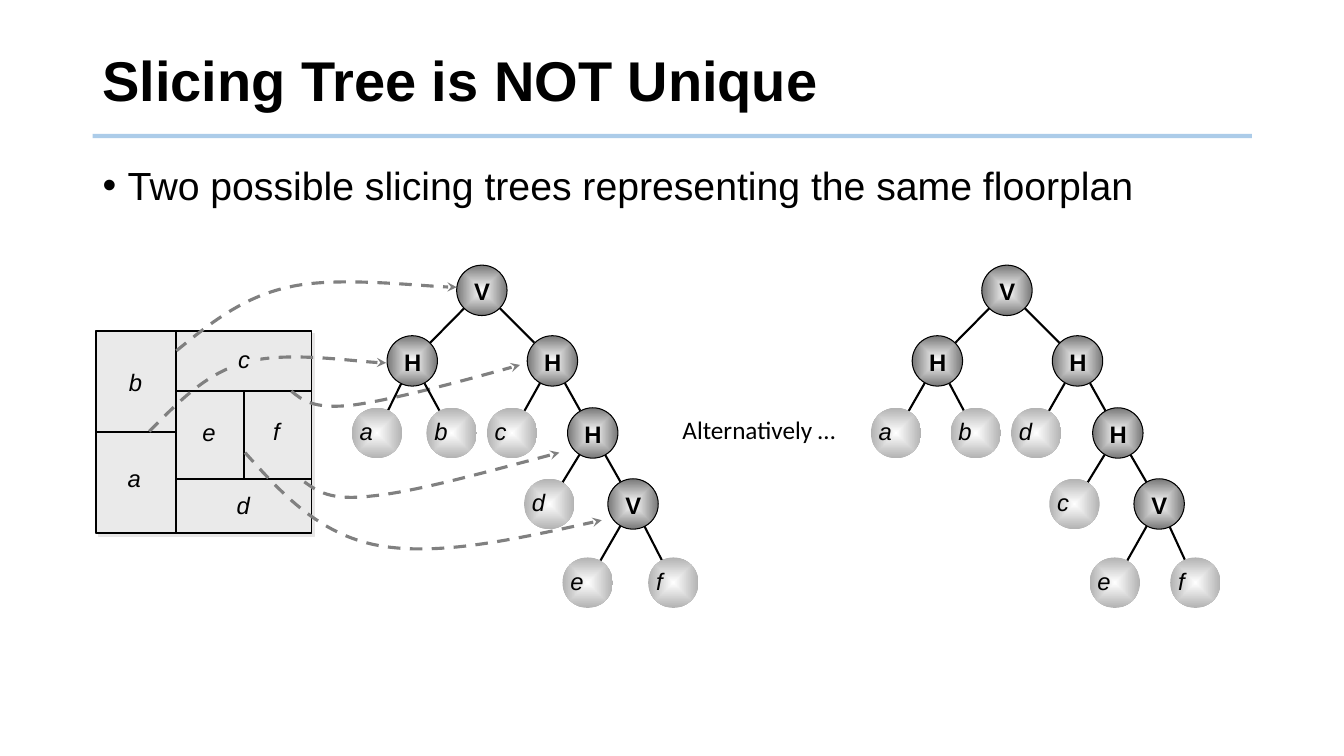
from math import hypot

from lxml.etree import SubElement
from pptx import Presentation
from pptx.dml.color import RGBColor
from pptx.enum.dml import MSO_LINE
from pptx.enum.shapes import MSO_CONNECTOR, MSO_SHAPE
from pptx.enum.text import MSO_ANCHOR, PP_ALIGN
from pptx.oxml.ns import qn
from pptx.util import Pt

BLACK, WALL_FILL = "000000", "EAEAEA"
NODE_SIZE = 36
LABEL_HEIGHT = 27.4

# Tree nodes: level, index of parent, whether the node is a cut (H or V)
LEVELS = [0, 50.4, 101.9, 152.6, 208.8]
NODES = [(0, None, True), (1, 0, True), (1, 0, True), (2, 1, False),
         (2, 1, False), (2, 2, False), (2, 2, True), (3, 6, False),
         (3, 6, True), (4, 8, False), (4, 8, False)]

# Room names, relative to the floorplan
ROOMS = [("b", 16.6, 23), ("d", 93.6, 110.9), ("a", 15.8, 91.4),
         ("e", 69.1, 58.3), ("c", 94.3, 6.5), ("f", 117.4, 57.6)]

# Arrows from each cut to its tree node: a start and two Bezier segments
CUT_ARROWS = [
    [(149, 108), (158.4, 114.5), (167, 121.7), (197.3, 118.1),
     (227.5, 115.2), (279.4, 100.8), (331.2, 87.1)],
    [(38.2, 72), (58.3, 51.8), (77.8, 31), (105.8, 23),
     (133.9, 14.4), (190.8, 23), (207.4, 23)],
    [(57.6, 14.4), (80.6, -4.3), (104.4, -23.8), (137.5, -31),
     (170.6, -38.9), (237.6, -31), (257.8, -31)],
    [(106.6, 87.1), (132.5, 115.9), (159.1, 145.4), (201.6, 153.4),
     (244.1, 161.3), (303.1, 148.3), (361.4, 135.4)],
    [(139.7, 43.2), (147.6, 49.7), (155.5, 56.2), (182.9, 53.3),
     (210.2, 49.7), (257, 37.4), (303.1, 24.5)],
]


def color(value):
    return RGBColor.from_string(value)


def add_line(page, x1, y1, x2, y2, width, line_color=BLACK):
    line = page.shapes.add_connector(MSO_CONNECTOR.STRAIGHT, Pt(x1), Pt(y1), Pt(x2), Pt(y2))
    line.line.color.rgb = color(line_color)
    line.line.width = Pt(width)
    SubElement(line.element.spPr, qn("a:effectLst"))
    return line


def add_block(page, kind, left, top, width, height, fill=None, line=None, weight=0.75):
    block = page.shapes.add_shape(kind, Pt(left), Pt(top), Pt(width), Pt(height))
    block.shadow.inherit = False
    if fill:
        block.fill.solid()
        block.fill.fore_color.rgb = color(fill)
    else:
        block.fill.background()
    if line:
        block.line.color.rgb = color(line)
        block.line.width = Pt(weight)
    else:
        block.line.fill.background()
    return block


def add_text(page, text, left, top, width, height, size, font="Arial", bold=False,
             italic=False, align=PP_ALIGN.LEFT, wrap=True, fill=None):
    box = page.shapes.add_textbox(Pt(left), Pt(top), Pt(width), Pt(height))
    if fill:
        box.fill.solid()
        box.fill.fore_color.rgb = color(fill)
    box.text_frame.word_wrap = wrap
    para = box.text_frame.paragraphs[0]
    para.alignment = align
    span = para.add_run()
    span.text = text
    span.font.name = font
    span.font.size = Pt(size)
    span.font.bold = bold
    span.font.italic = italic
    span.font.color.rgb = color(BLACK)
    return box


def add_heading(page, left, top, width, height):
    rule = add_line(page, left, top + 77, left + width, top + 77, 3, "5B9BD5")
    tint = next(rule.element.iter(qn("a:srgbClr")))
    SubElement(tint, qn("a:alpha"), val="50000")
    title = add_text(page, "Slicing Tree is NOT Unique", left, top, width, height, 40, bold=True)
    title.text_frame.vertical_anchor = MSO_ANCHOR.MIDDLE
    title.text_frame.paragraphs[0].line_spacing = 0.9


def add_body(page, left, top, width, height):
    body = add_text(page, "Two possible slicing trees representing the same floorplan",
                    left, top, width, height, 28)
    para = body.text_frame.paragraphs[0]
    para.line_spacing = 0.9
    properties = para._p.get_or_add_pPr()
    properties.set("marL", str(Pt(18)))
    properties.set("indent", str(-Pt(18)))
    SubElement(properties, qn("a:buFont"), typeface="Arial")
    SubElement(properties, qn("a:buChar"), char="•")


def add_floorplan(page, left, top, width, height):
    column = 57.6
    # Base with shadow
    base = add_block(page, MSO_SHAPE.RECTANGLE, left, top, width, height, WALL_FILL, "B2B2B2")
    effects = base.element.spPr.find(qn("a:effectLst"))
    shadow = SubElement(effects, qn("a:outerShdw"), dist=str(Pt(2.8)), dir="2700000",
                        algn="ctr", rotWithShape="0")
    SubElement(shadow, qn("a:srgbClr"), val="E7E6E6")
    # Walls
    add_block(page, MSO_SHAPE.RECTANGLE, left + column, top, width - column, height,
              line=BLACK, weight=1.25)
    side = add_block(page, MSO_SHAPE.RECTANGLE, left, top, column, height,
                     line=BLACK, weight=1.5)
    for x1, y1, x2, y2 in [(105.8, 43.2, 105.8, 106.2), (column, 43.2, width, 43.2),
                           (column, 106.2, width, 106.2)]:
        add_line(page, left + x1, top + y1, left + x2, top + y2, 1.25)
    middle = top + height / 2
    divider = add_line(page, left, middle, left + column, middle, 1.5)
    divider.begin_connect(side, 1)
    divider.end_connect(side, 3)
    # Arrows, then room names above them
    for points in CUT_ARROWS:
        add_curved_arrow(page, [(left + x, top + y) for x, y in points])
    for name, x, y in ROOMS:
        add_text(page, name, left + x, top + y, 23.4, LABEL_HEIGHT, 17, italic=True,
                 align=PP_ALIGN.CENTER, wrap=False, fill=WALL_FILL if name == "c" else None)


def add_curved_arrow(page, points):
    start, *rest = [(Pt(x), Pt(y)) for x, y in points]
    builder = page.shapes.build_freeform(*start)
    builder.add_line_segments(rest, close=False)
    arrow = builder.convert_to_shape()
    arrow.shadow.inherit = False
    arrow.fill.background()
    # Join every three straight segments into one Bezier segment
    outline = next(arrow.element.iter(qn("a:path")))
    segments = outline.findall(qn("a:lnTo"))
    for first in range(0, len(segments), 3):
        curve = SubElement(outline, qn("a:cubicBezTo"))
        for segment in segments[first:first + 3]:
            curve.append(segment[0])
            outline.remove(segment)
    arrow.line.color.rgb = color("808080")
    arrow.line.width = Pt(2.25)
    arrow.line.dash_style = MSO_LINE.DASH
    SubElement(arrow.element.spPr.find(qn("a:ln")), qn("a:tailEnd"), type="stealth")


def add_node(page, name, left, top, is_cut):
    node = add_block(page, MSO_SHAPE.OVAL, left, top, NODE_SIZE, NODE_SIZE,
                     line=BLACK if is_cut else None)
    # Radial shading, white in the centre
    node.fill.gradient()
    for stop, shade in zip(node.fill.gradient_stops, ["FFFFFF", "777777" if is_cut else "B2B2B2"]):
        stop.color.rgb = color(shade)
    gradient = node.element.spPr.find(qn("a:gradFill"))
    gradient.remove(gradient.find(qn("a:lin")))
    radial = SubElement(gradient, qn("a:path"), path="shape")
    SubElement(radial, qn("a:fillToRect"), l="50000", t="50000", r="50000", b="50000")
    if is_cut:
        add_text(page, name, left + 5, top + 5, 26.4, LABEL_HEIGHT, 17, bold=True,
                 align=PP_ALIGN.CENTER, wrap=False)
    else:
        add_text(page, name, left - 1.5, top + 3, 39.6, LABEL_HEIGHT, 17, italic=True)


def add_tree(page, left, top, names, offsets):
    places = [(left + x, top + LEVELS[level]) for x, (level, _, _) in zip(offsets, NODES)]
    # Edges, trimmed to lie between the nodes
    half = NODE_SIZE / 2
    for (x, y), (_, parent, _) in zip(places, NODES):
        if parent is None:
            continue
        px, py = places[parent]
        length = hypot(x - px, y - py)
        ux, uy = (x - px) / length, (y - py) / length
        add_line(page, px + half + 8 * ux, py + half + 8 * uy,
                 x + half - 14 * ux, y + half - 14 * uy, 1.5)
    for name, (x, y), (_, _, is_cut) in zip(names, places, NODES):
        add_node(page, name, x, y, is_cut)


def main():
    deck = Presentation()
    deck.slide_width, deck.slide_height = Pt(960), Pt(540)
    page = deck.slides.add_slide(deck.slide_layouts[6])
    add_heading(page, 66.2, 20.2, 828, 79.2)
    add_body(page, 66.2, 115.2, 828, 370.8)
    add_floorplan(page, 68.4, 236.2, 154.1, 144.7)
    add_tree(page, 251.3, 189.4, "VHHabcHdVef",
             [74.9, 25.2, 125.3, 0, 53.3, 96.5, 154.1, 123.1, 182.9, 150.5, 211.7])
    add_tree(page, 622.1, 189.4, "VHHabdHcVef",
             [79.2, 29.5, 129.6, 0, 56.9, 100.1, 158.4, 127.4, 187.9, 156.2, 213.8])
    add_text(page, "Alternatively …", 479.5, 292.3, 125.3, 29, 18, font="Calibri",
             align=PP_ALIGN.CENTER, wrap=False)
    deck.save("out.pptx")


if __name__ == "__main__":
    main()
